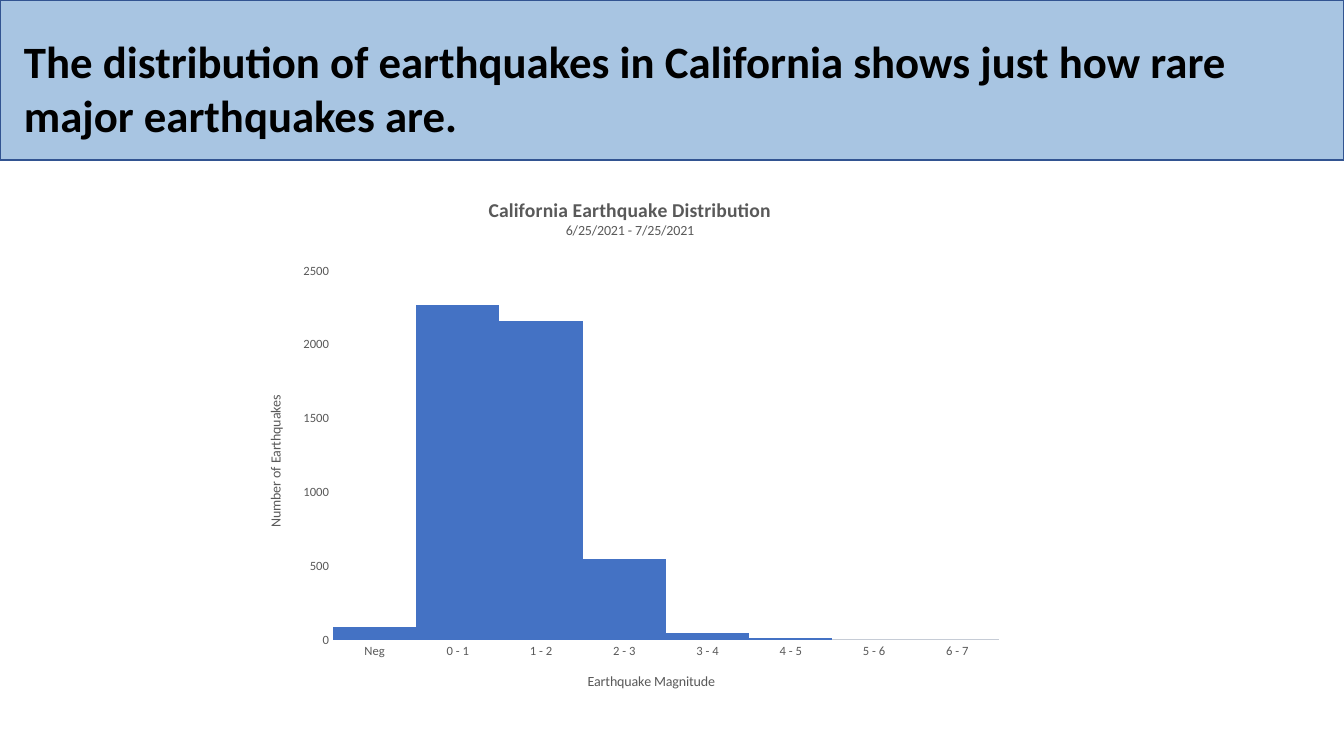
from pptx import Presentation
from pptx import util as u
from pptx.chart import data as cd
from pptx.dml.color import RGBColor
from pptx.enum import chart as ce, shapes as sh
from pptx.oxml import parse_xml
from pptx.oxml.ns import nsdecls

PX = 914400 / 100.8
BAND = RGBColor(0xA8, 0xC5, 0xE2)
EDGE = RGBColor(0x32, 0x54, 0x91)
INK = RGBColor(0, 0, 0)
GREY = RGBColor(0x59, 0x59, 0x59)
RULE = RGBColor(0xD9, 0xD9, 0xD9)
BLUE = RGBColor(0x44, 0x72, 0xC4)
COUNTS = {"Neg": 90, "0 - 1": 2270, "1 - 2": 2160, "2 - 3": 550,
          "3 - 4": 50, "4 - 5": 10, "5 - 6": 0, "6 - 7": 0}


def px(*vals):
    """Turn pixel lengths into EMU."""
    return [u.Emu(round(v * PX)) for v in vals]


def style(font, size, color=GREY, bold=False):
    """Format a font."""
    font.name, font.size, font.bold = "Calibri", u.Pt(size), bold
    font.color.rgb = color


def write(frame, words, first=True, **fmt):
    """Write one paragraph into a text frame."""
    para = frame.paragraphs[0] if first else frame.add_paragraph()
    run = para.add_run()
    run.text = words
    style(run.font, **fmt)


def header(slide, x, y, w, h):
    """Draw the title band and its headline."""
    band = slide.shapes.add_shape(sh.MSO_SHAPE.RECTANGLE, *px(x, y, w, h))
    band.shadow.inherit = False
    band.fill.solid()
    band.fill.fore_color.rgb = BAND
    band.line.color.rgb = EDGE
    band.line.width = u.Pt(1)
    box = slide.shapes.add_textbox(*px(x + 14, y + 29, w - 52, h - 41))
    box.text_frame.word_wrap = True
    write(box.text_frame, "The distribution of earthquakes in California shows "
          "just how rare major earthquakes are.", size=32, color=INK, bold=True)


def place(chart, x, y, w, h):
    """Fix the inner plot area, in fractions of the chart."""
    area = chart.element.xpath(".//c:plotArea")[0]
    for old in area.xpath("./c:layout"):
        area.remove(old)
    parts = "".join(f'<c:{k} val="{v}"/>' for k, v in
                    (("x", x), ("y", y), ("w", w), ("h", h)))
    area.insert(0, parse_xml(
        f'<c:layout {nsdecls("c")}><c:manualLayout>'
        '<c:layoutTarget val="inner"/><c:xMode val="edge"/>'
        f'<c:yMode val="edge"/>{parts}</c:manualLayout></c:layout>'))


def trim(axis, name):
    """Title an axis and strip its ticks and grid."""
    write(axis.axis_title.text_frame, name, size=10)
    axis.has_major_gridlines = False
    axis.major_tick_mark = axis.minor_tick_mark = ce.XL_TICK_MARK.NONE
    style(axis.tick_labels.font, 9)


def graph(slide, x, y, w, h):
    """Add the histogram of magnitudes."""
    data = cd.CategoryChartData()
    data.categories = list(COUNTS)
    data.add_series("Series 1", list(COUNTS.values()))
    chart = slide.shapes.add_chart(
        ce.XL_CHART_TYPE.COLUMN_CLUSTERED, *px(x, y, w, h), data).chart
    style(chart.font, 10, INK)
    chart.has_legend = False
    title = chart.chart_title
    write(title.text_frame, "California Earthquake Distribution",
          size=14, bold=True)
    write(title.text_frame, "6/25/2021 - 7/25/2021", first=False, size=10)
    title.include_in_layout = False
    plot = chart.plots[0]
    plot.gap_width, plot.overlap = 0, -27
    plot.vary_by_categories = False
    fill = plot.series[0].format.fill
    fill.solid()
    fill.fore_color.rgb = BLUE
    cat, val = chart.category_axis, chart.value_axis
    trim(cat, "Earthquake Magnitude")
    trim(val, "Number of Earthquakes")
    cat.format.line.color.rgb = RULE
    cat.format.line.width = u.Pt(0.75)
    val.format.line.fill.background()
    val.minimum_scale, val.maximum_scale, val.major_unit = 0, 2500, 500
    place(chart, 87 / w, 93 / h, 666 / w, 369 / h)


def main():
    """Build and save the slide."""
    deck = Presentation()
    deck.slide_width, deck.slide_height = px(1344, 756)
    slide = deck.slides.add_slide(deck.slide_layouts[6])
    header(slide, 0, 0, 1344, 160)
    graph(slide, 246, 178, 768, 532)
    deck.save("out.pptx")


if __name__ == "__main__":
    main()
